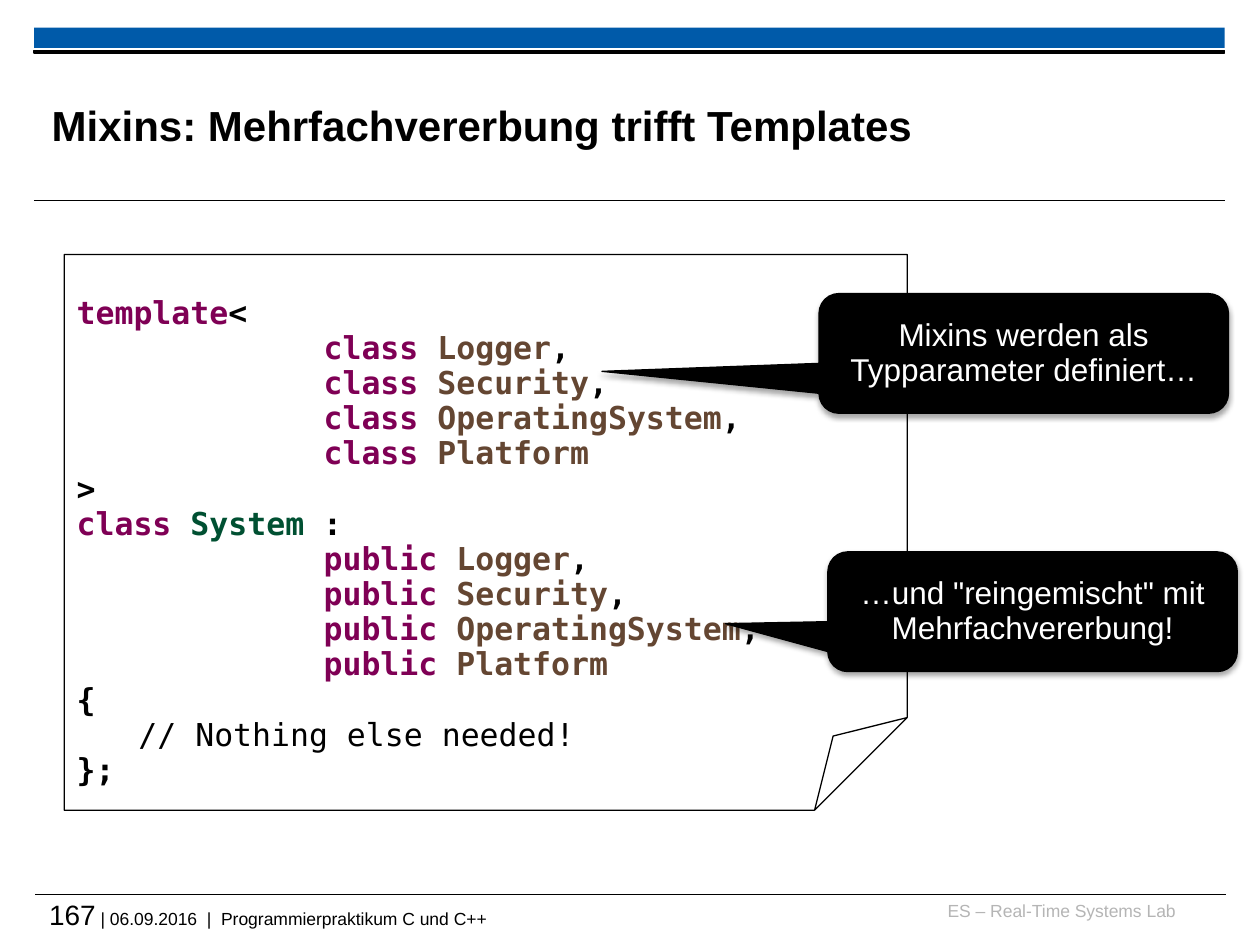
from typing import NamedTuple

from lxml.etree import SubElement
from pptx import Presentation
from pptx.dml.color import RGBColor
from pptx.enum.shapes import MSO_CONNECTOR, MSO_SHAPE
from pptx.enum.text import MSO_ANCHOR, PP_ALIGN
from pptx.oxml.ns import qn
from pptx.util import Inches, Pt

COLORS = {
    "black": "000000", "white": "FFFFFF", "blue": "005AA9", "grey": "B5B5B5",
    "keyword": "7F0055", "parameter": "644632", "type": "005032",
}
CODE_FONT = "DejaVu Sans Mono"
TAB_WIDTH = 0.49
LINE_SPACING = 0.93
MIXINS = ("Logger", "Security", "OperatingSystem", "Platform")


class Box(NamedTuple):
    left: float
    top: float
    width: float
    height: float


class Span(NamedTuple):
    text: str
    color: str = "black"
    size: float = 18
    bold: bool = False
    font: str = "Arial"


class Label(NamedTuple):
    box: Box
    spans: tuple[Span, ...]
    align: PP_ALIGN = PP_ALIGN.LEFT
    anchor: MSO_ANCHOR = MSO_ANCHOR.TOP


class Callout(NamedTuple):
    box: Box
    text: str
    tip: tuple[float, float]


def color(name: str) -> RGBColor:
    return RGBColor.from_string(COLORS[name])


def apply(target, values: dict) -> None:
    for name, value in values.items():
        setattr(target, name, value)


def add_spans(paragraph, spans) -> None:
    for span in spans:
        run = paragraph.add_run()
        run.text = span.text
        apply(run.font, {"size": Pt(span.size), "bold": span.bold, "name": span.font})
        run.font.color.rgb = color(span.color)


def add_rule(slide, left: float, top: float, width: float) -> None:
    line = slide.shapes.add_connector(
        MSO_CONNECTOR.STRAIGHT, Inches(left), Inches(top), Inches(left + width), Inches(top))
    line.line.width = Pt(0.6)
    line.line.color.rgb = color("black")
    SubElement(line._element.spPr, qn("a:effectLst"))


def add_panel(slide, kind: MSO_SHAPE, box: Box, fill: str = "", line: str = ""):
    shape = slide.shapes.add_shape(kind, *map(Inches, box))
    shape.shadow.inherit = False
    if fill:
        shape.fill.solid()
        shape.fill.fore_color.rgb = color(fill)
    else:
        shape.fill.background()
    if line:
        shape.line.width = Pt(0.75)
        shape.line.color.rgb = color(line)
    else:
        shape.line.fill.background()
    return shape


def add_label(slide, label: Label) -> None:
    frame = slide.shapes.add_textbox(*map(Inches, label.box)).text_frame
    apply(frame, {"word_wrap": True, "vertical_anchor": label.anchor, "margin_left": 0,
                  "margin_top": 0, "margin_right": 0, "margin_bottom": 0})
    frame.paragraphs[0].alignment = label.align
    add_spans(frame.paragraphs[0], label.spans)


def add_callout(slide, callout: Callout) -> None:
    shape = add_panel(slide, MSO_SHAPE.ROUNDED_RECTANGULAR_CALLOUT, callout.box, "black", "black")
    for index, value in enumerate((*callout.tip, 0.167)):
        shape.adjustments[index] = value
    effects = shape._element.spPr.find(qn("a:effectLst"))
    shadow = SubElement(effects, qn("a:outerShdw"), blurRad=str(Pt(3.1)), dist=str(Pt(1.8)),
                        dir="5400000", rotWithShape="0")
    shade = SubElement(shadow, qn("a:srgbClr"), val=COLORS["black"])
    SubElement(shade, qn("a:alpha"), val="35000")
    apply(shape.text_frame, {"word_wrap": True, "vertical_anchor": MSO_ANCHOR.MIDDLE})
    paragraph = shape.text_frame.paragraphs[0]
    apply(paragraph, {"alignment": PP_ALIGN.CENTER, "line_spacing": LINE_SPACING})
    add_spans(paragraph, [Span(callout.text, "white")])


def code(text: str, role: str = "black", bold: bool = True) -> Span:
    return Span(text, role, 18, bold, CODE_FONT)


def mixin_lines(keyword: str) -> list[list[Span]]:
    lines = [[code("\t\t\t\t"), code(keyword + " ", "keyword"), code(name, "parameter"), code(",")]
             for name in MIXINS]
    lines[-1].pop()
    return lines


def add_code(slide, box: Box, lines: list[list[Span]]) -> None:
    frame = add_panel(slide, MSO_SHAPE.FOLDED_CORNER, box, line="black").text_frame
    apply(frame, {"word_wrap": True, "vertical_anchor": MSO_ANCHOR.TOP,
                  "margin_top": Inches(0.33)})
    for index, spans in enumerate(lines):
        paragraph = frame.add_paragraph() if index else frame.paragraphs[0]
        apply(paragraph, {"alignment": PP_ALIGN.LEFT, "line_spacing": LINE_SPACING})
        stops = SubElement(paragraph._p.get_or_add_pPr(), qn("a:tabLst"))
        for stop in range(1, 5):
            SubElement(stops, qn("a:tab"), pos=str(Inches(stop * TAB_WIDTH)), algn="l")
        add_spans(paragraph, spans)


CODE = [
    [code("template", "keyword"), code("<")],
    *mixin_lines("class"),
    [code(">")],
    [code("class ", "keyword"), code("System", "type"), code(" :")],
    *mixin_lines("public"),
    [code("{")],
    [code("\t// Nothing else needed!", bold=False)],
    [code("};")],
]
LABELS = [
    Label(Box(7.36, 7.14, 1.97, 0.25), (Span("ES – Real-Time Systems Lab", "grey", 10),),
          PP_ALIGN.RIGHT),
    Label(Box(0.39, 7.12, 9.33, 0.33),
          (Span("167", size=16),
           Span(" | 06.09.2016  |  Programmierpraktikum C und C++", size=10))),
    Label(Box(0.41, 0.53, 7.88, 0.92),
          (Span("Mixins: Mehrfachvererbung trifft Templates", size=24, bold=True),),
          anchor=MSO_ANCHOR.MIDDLE),
]
CALLOUTS = [
    Callout(Box(6.5, 2.33, 3.25, 0.95), "Mixins werden als Typparameter definiert…",
            (-1.03, 0.15)),
    Callout(Box(6.57, 4.38, 3.25, 0.95), '…und "reingemischt" mit Mehrfachvererbung!',
            (-0.75, 0.1)),
]


def main() -> None:
    presentation = Presentation()
    apply(presentation, {"slide_width": Inches(10), "slide_height": Inches(7.5)})
    slide = presentation.slides.add_slide(presentation.slide_layouts[6])
    add_rule(slide, 0.28, 7.1, 9.45)
    add_panel(slide, MSO_SHAPE.RECTANGLE, Box(0.27, 0.22, 9.45, 0.16), "blue")
    add_rule(slide, 0.27, 1.59, 9.45)
    add_panel(slide, MSO_SHAPE.RECTANGLE, Box(0.27, 0.4, 9.45, 0.02), "black", "black")
    for label in LABELS:
        add_label(slide, label)
    add_code(slide, Box(0.51, 2.02, 6.69, 4.41), CODE)
    for callout in CALLOUTS:
        add_callout(slide, callout)
    presentation.save("out.pptx")


if __name__ == "__main__":
    main()
